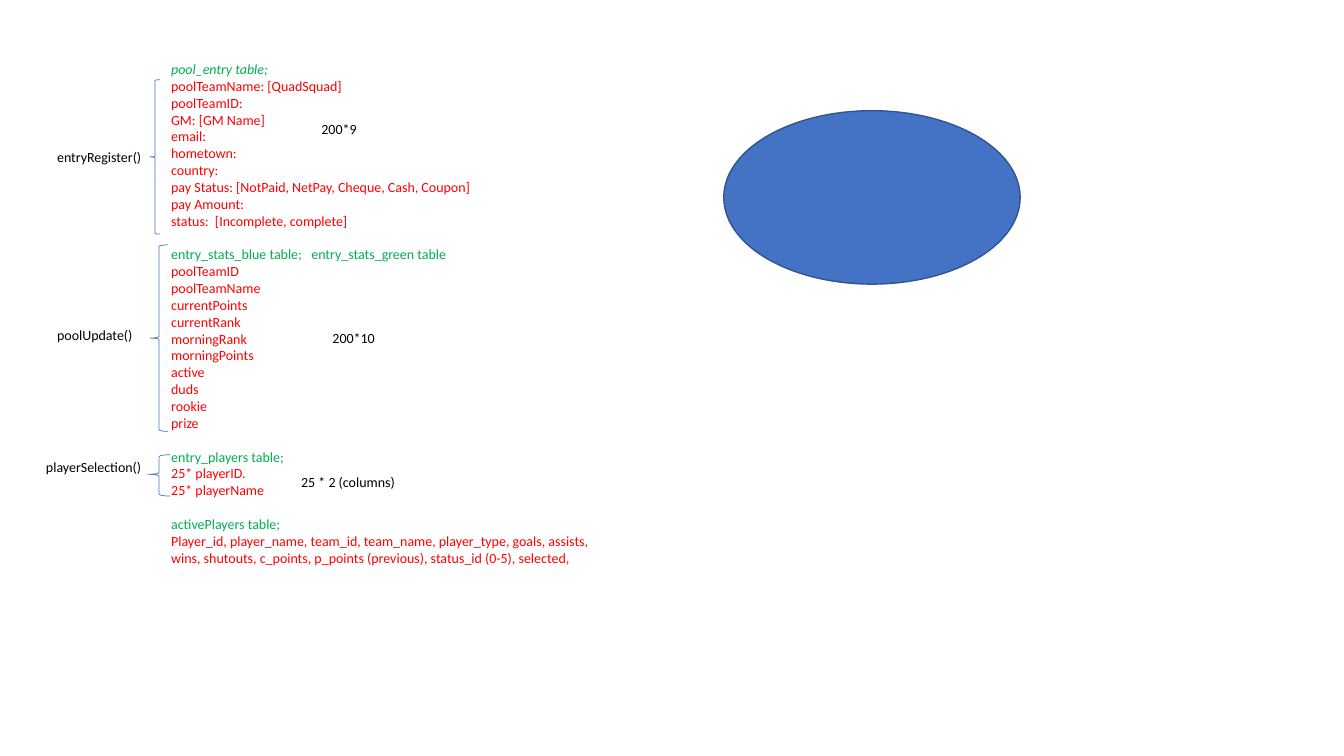
from dataclasses import dataclass

from lxml import etree
from pptx import Presentation
from pptx.dml.color import RGBColor
from pptx.enum.shapes import MSO_SHAPE
from pptx.enum.text import MSO_ANCHOR, MSO_AUTO_SIZE
from pptx.oxml.ns import qn
from pptx.util import Cm, Pt

LEFT_BRACE = MSO_SHAPE.LEFT_BRACE
OVAL = MSO_SHAPE.OVAL
TOP = MSO_ANCHOR.TOP
GROW = MSO_AUTO_SIZE.SHAPE_TO_FIT_TEXT


@dataclass(frozen=True)
class Theme:
    font: str = "Calibri"
    size: Pt = Pt(10)
    section_gap: Pt = Pt(12.2)
    brace_width: Pt = Pt(0.5)
    outline_width: Pt = Pt(1)
    text: RGBColor = RGBColor(0x00, 0x00, 0x00)
    table_name: RGBColor = RGBColor(0x00, 0xB0, 0x50)
    field: RGBColor = RGBColor(0xFF, 0x00, 0x00)
    accent: RGBColor = RGBColor(0x44, 0x72, 0xC4)
    outline: RGBColor = RGBColor(0x32, 0x54, 0x91)


TABLES = [
    ("pool_entry table;", [
        "poolTeamName: [QuadSquad]", "poolTeamID:", "GM: [GM Name]", "email:",
        "hometown:", "country:",
        "pay Status: [NotPaid, NetPay, Cheque, Cash, Coupon]",
        "pay Amount:", "status:  [Incomplete, complete]",
    ]),
    ("entry_stats_blue table;   entry_stats_green table", [
        "poolTeamID", "poolTeamName", "currentPoints", "currentRank",
        "morningRank", "morningPoints", "active", "duds", "rookie", "prize",
    ]),
    ("entry_players table;", ["25* playerID.", "25* playerName"]),
    ("activePlayers table;", [
        "Player_id, player_name, team_id, team_name, player_type, goals, "
        "assists, wins, shutouts, c_points, p_points (previous), "
        "status_id (0-5), selected,",
    ]),
]

BRACES = [
    (3.78, 2.01, 0.25, 3.89, 0.5),
    (3.78, 6.17, 0.46, 4.7, 0.5),
    (3.73, 11.46, 0.56, 1.04, 0.475),
]

LABELS = [
    ("entryRegister()", 1.19, 3.61, 2.72),
    ("poolUpdate()", 1.19, 8.1, 2.87),
    ("playerSelection()", 0.91, 11.43, 3.07),
    ("200*9", 7.85, 2.92, 2.87),
    ("200*10", 8.13, 8.18, 2.87),
    ("25 * 2 (columns)", 7.34, 11.81, 3.05),
]


class Page:
    def __init__(self, deck, theme):
        self.theme = theme
        self.slide = deck.slides.add_slide(deck.slide_layouts[1])
        title = self.slide.shapes.title.element
        title.getparent().remove(title)

    def style(self, para, color):
        para.font.name = self.theme.font
        para.font.size = self.theme.size
        para.font.color.rgb = color

    def table_list(self, tables, left, top, width, height):
        body = self.slide.placeholders[1]
        body.left, body.top = Cm(left), Cm(top)
        body.width, body.height = Cm(width), Cm(height)
        frame = body.text_frame
        frame.word_wrap = True
        frame.auto_size = GROW
        frame.vertical_anchor = TOP
        lines = [(line, line == name) for name, fields in tables
                 for line in [name, *fields]]
        for index, (line, is_name) in enumerate(lines):
            para = frame.add_paragraph() if index else frame.paragraphs[0]
            para.text = line
            para.line_spacing = 1.0
            para.space_before = self.theme.section_gap if is_name and index else Pt(0)
            para.space_after = Pt(0)
            self.style(para, self.theme.table_name if is_name else self.theme.field)
            para.font.italic = index == 0
            properties = para._p.get_or_add_pPr()
            properties.set("marL", "0")
            properties.set("indent", "0")
            no_bullet = etree.Element(qn("a:buNone"))
            properties.find(qn("a:spcAft")).addnext(no_bullet)

    def label(self, text, left, top, width):
        box = self.slide.shapes.add_textbox(Cm(left), Cm(top), Cm(width), Cm(0.68))
        frame = box.text_frame
        frame.word_wrap = True
        frame.auto_size = GROW
        para = frame.paragraphs[0]
        para.text = text
        self.style(para, self.theme.text)

    def shape(self, kind, left, top, width, height, line_color, line_width):
        shape = self.slide.shapes.add_shape(
            kind, Cm(left), Cm(top), Cm(width), Cm(height))
        shape.shadow.inherit = False
        shape.line.color.rgb = line_color
        shape.line.width = line_width
        return shape

    def brace(self, left, top, width, height, point):
        brace = self.shape(LEFT_BRACE, left, top, width, height,
                           self.theme.accent, self.theme.brace_width)
        brace.fill.background()
        brace.adjustments[1] = point

    def ellipse(self, left, top, width, height):
        ellipse = self.shape(OVAL, left, top, width, height,
                             self.theme.outline, self.theme.outline_width)
        ellipse.fill.solid()
        ellipse.fill.fore_color.rgb = self.theme.accent


def main():
    deck = Presentation()
    deck.slide_width, deck.slide_height = Cm(33.87), Cm(19.05)
    page = Page(deck, Theme())
    page.table_list(TABLES, 4.06, 1.4, 11.79, 13.51)
    for brace in BRACES:
        page.brace(*brace)
    for label in LABELS:
        page.label(*label)
    page.ellipse(18.24, 2.79, 7.47, 4.37)
    deck.save("out.pptx")


if __name__ == "__main__":
    main()
